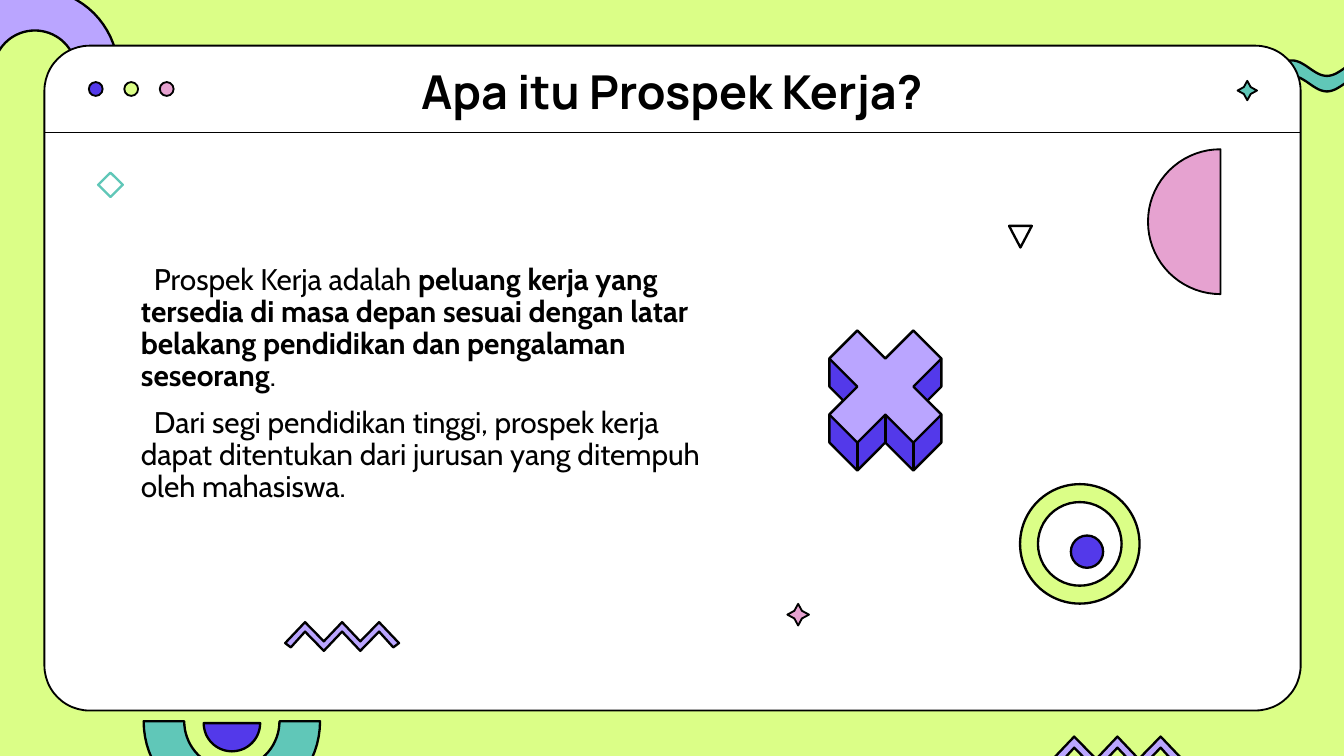
from math import cos, sin, pi, radians

from lxml import etree
from pptx import Presentation
from pptx import util as u
from pptx.dml.color import RGBColor
from pptx.enum import shapes, text
from pptx.oxml.ns import qn

THEME = {
    "lime": "DBFE87", "lilac": "BAA5FF", "indigo": "5339EA", "teal": "60C7B8",
    "pink": "E6A2D0", "white": "FFFFFF", "ink": "000000",
    "thin": 1, "bold": 1.25, "title": 25, "body": 16,
    "title_font": "Manrope", "body_font": "Cabin",
}
TITLE_RUN = {"name": THEME["title_font"], "size": u.Pt(THEME["title"]), "bold": True}
BODY_RUN = {"name": THEME["body_font"], "size": u.Pt(THEME["body"])}
TITLE_PARAGRAPH = {"alignment": text.PP_ALIGN.CENTER, "line_spacing": 0.9}
BODY_PARAGRAPH = {"line_spacing": 0.9, "space_before": u.Pt(7.5)}
ZIGZAG = [(0.66, 1), (0.5, 0.33), (0.34, 1), (0.175, 0.33), (0.05, 0.88),
          (0, 0.73), (0.175, 0), (0.34, 0.67), (0.5, 0), (0.66, 0.67),
          (0.825, 0), (1, 0.73), (0.95, 0.88), (0.825, 0.33)]
CROSS = [(3, 0), (4, 1), (3, 2), (4, 3), (3, 4), (2, 3),
         (1, 4), (0, 3), (1, 2), (0, 1), (1, 0), (2, 1)]
CROSS_SIDES = [(4, 1), (4, 2), (3.5, 2.5), (4, 3), (4, 4), (3, 5), (2, 4),
               (1, 5), (0, 4), (0, 3), (0.5, 2.5), (0, 2), (0, 1), (1, 0),
               (2, 1), (3, 0)]


def color(name):
    return RGBColor.from_string(THEME[name])


def apply(target, values):
    for key, value in values.items():
        setattr(target, key, value)


def paint(part, fill, line="ink", weight="thin"):
    part.shadow.inherit = False
    if fill:
        part.fill.solid()
        part.fill.fore_color.rgb = color(fill)
    else:
        part.fill.background()
    part.line.color.rgb = color(line)
    part.line.width = u.Pt(THEME[weight])
    return part


def preset(slide, kind, box, fill, adjust=None, **look):
    part = slide.shapes.add_shape(kind, *map(u.Pt, box))
    if adjust is not None:
        part.adjustments[0] = adjust
    return paint(part, fill, **look)


def outline(slide, points, fill, **look):
    corners = [(u.Pt(x), u.Pt(y)) for x, y in points]
    builder = slide.shapes.build_freeform(*corners[0], scale=1.0)
    builder.add_line_segments(corners[1:], close=True)
    return paint(builder.convert_to_shape(), fill, **look)


def rule(slide, start, end, weight):
    line = slide.shapes.add_connector(shapes.MSO_CONNECTOR.STRAIGHT,
                                      *map(u.Pt, (*start, *end)))
    line.line.color.rgb = color("ink")
    line.line.width = u.Pt(THEME[weight])
    etree.SubElement(line._element.spPr, qn("a:effectLst"))


def arc(cx, cy, radius, start, end, steps=36):
    angles = [radians(start + (end - start) * i / steps) for i in range(steps + 1)]
    return [(cx + radius * cos(a), cy + radius * sin(a)) for a in angles]


def write(slide, box, paragraphs, paragraph_format, run_format, anchor, indent=0):
    frame = slide.shapes.add_textbox(*map(u.Pt, box)).text_frame
    apply(frame, {"word_wrap": True, "vertical_anchor": anchor})
    for number, pieces in enumerate(paragraphs):
        paragraph = frame.add_paragraph() if number else frame.paragraphs[0]
        apply(paragraph, paragraph_format)
        if indent:
            paragraph._p.get_or_add_pPr().set("indent", str(u.Pt(indent)))
        for words, extra in pieces:
            run = paragraph.add_run()
            run.text = words
            apply(run.font, {**run_format, **extra})
            run.font.color.rgb = color("ink")


def squiggle(slide, left, top, width, height):
    period = width / 2.5
    xs = [left + width * i / 80 for i in range(81)]
    upper = [(x, top + height / 4 * (1 - cos(2 * pi * (x - left) / period))) for x in xs]
    lower = [(x, y + height / 2) for x, y in reversed(upper)]
    outline(slide, upper + lower, "teal", weight="bold")


def arch(slide, left, top, diameter):
    radius, thick = diameter / 2, diameter / 4
    cx, cy, middle = left + radius, top + radius, radius - thick / 2
    points = (arc(cx, cy, radius, 180, 360)
              + arc(cx + middle, cy, thick / 2, 0, 180)
              + arc(cx, cy, radius - thick, 360, 180)
              + arc(cx - middle, cy, thick / 2, 0, 180))
    outline(slide, points, "lilac", weight="bold")


def zigzag(slide, left, top, width, height):
    outline(slide, [(left + x * width, top + y * height) for x, y in ZIGZAG],
            "lilac", weight="bold")


def sparkle(slide, left, top, size, fill):
    preset(slide, shapes.MSO_SHAPE.STAR_4_POINT, (left, top, size, size), fill, 0.25)


def eye(slide, left, top, size):
    preset(slide, shapes.MSO_SHAPE.DONUT, (left, top, size, size), "lime", 0.15,
           weight="bold")
    pupil = size * 0.27
    preset(slide, shapes.MSO_SHAPE.OVAL,
           (left + size * 0.425, top + size * 0.43, pupil, pupil), "indigo",
           weight="bold")


def block_cross(slide, left, top, width):
    unit = width / 4

    def place(x, y):
        return left + x * unit, top + y * unit

    outline(slide, [place(*p) for p in CROSS_SIDES], "indigo", weight="bold")
    outline(slide, [place(*p) for p in CROSS], "lilac", weight="bold")
    for x, y in ((1, 4), (2, 3), (3, 4)):
        rule(slide, place(x, y), place(x, y + 1), "bold")


def bowl(slide, left, top, width):
    radius, cx = width / 2, left + width / 2
    outline(slide, arc(cx, top, radius, 0, 180) + arc(cx, top, radius * 0.54, 180, 0),
            "teal", weight="bold")
    outline(slide, arc(cx, top + 1, radius * 0.32, 0, 180), "indigo", weight="bold")


def window(slide, left, top, width, height):
    preset(slide, shapes.MSO_SHAPE.ROUNDED_RECTANGLE, (left, top, width, height),
           "white", 0.068)
    bar = top + 46.5
    rule(slide, (left, bar), (left + width, bar), "thin")
    for number, fill in enumerate(("indigo", "lime", "pink")):
        preset(slide, shapes.MSO_SHAPE.OVAL,
               (left + 23.8 + 19 * number, top + 19.5, 7.4, 7.4), fill)
    sparkle(slide, left + width - 33.8, top + 18.8, 10.4, "teal")
    write(slide, (left + 33, top + 11.5, width - 66.8, 28.8),
          [[("Apa itu Prospek Kerja?", {})]],
          TITLE_PARAGRAPH, TITLE_RUN, text.MSO_ANCHOR.MIDDLE)


def explanation(slide, left, top, width, height):
    write(slide, (left, top, width, height), [
        [("Prospek Kerja adalah\u00a0", {}),
         ("peluang kerja yang tersedia di masa depan sesuai dengan latar belakang "
          "pendidikan dan pengalaman seseorang", {"bold": True}),
         (".", {})],
        [("Dari segi pendidikan tinggi, prospek kerja dapat ditentukan dari jurusan "
          "yang ditempuh oleh mahasiswa.", {})],
    ], BODY_PARAGRAPH, BODY_RUN, text.MSO_ANCHOR.TOP, indent=7)


def ornaments(slide, left, top):
    eye(slide, left + 522.7, top + 234.9, 64)
    sparkle(slide, left + 398, top + 299, 11.6, "pink")
    zigzag(slide, left + 129, top + 308.8, 61, 15.4)
    preset(slide, shapes.MSO_SHAPE.FLOWCHART_MERGE,
           (left + 516.8, top + 96.5, 12.2, 11.6), None, weight="bold")
    preset(slide, shapes.MSO_SHAPE.DIAMOND,
           (left + 28.8, top + 68, 13.2, 13), None, line="teal", weight="bold")
    outline(slide, arc(left + 630, top + 94.3, 38.8, 90, 270), "pink")
    block_cross(slide, left + 420.5, top + 152.6, 60)


def prospect_slide(deck):
    slide = deck.slides.add_slide(deck.slide_layouts[6])
    slide.background.fill.solid()
    slide.background.fill.fore_color.rgb = color("lime")
    squiggle(slide, 654.5, 32.4, 94, 16.6)
    arch(slide, -26, -6, 89.4)
    window(slide, 23.8, 24.5, 673, 356.2)
    explanation(slide, 68.4, 138.2, 325.4, 137.5)
    ornaments(slide, 23.8, 24.5)
    zigzag(slide, 563, 394.6, 71.3, 18)
    bowl(slide, 77, 386.4, 94.5)


deck = Presentation()
deck.slide_width, deck.slide_height = u.Pt(720), u.Pt(405)
prospect_slide(deck)
deck.save("out.pptx")
